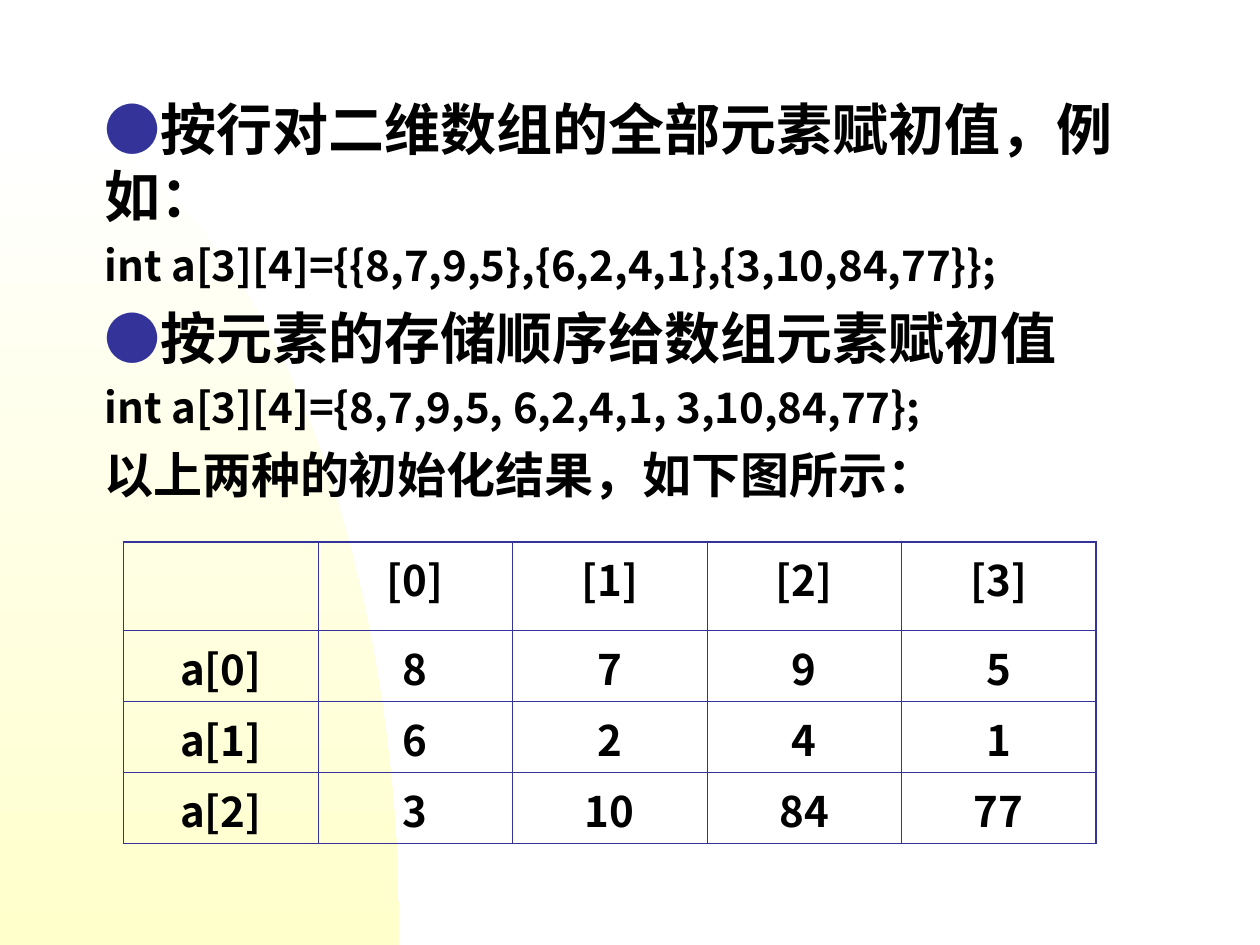
from math import cos, pi, sin

from pptx import Presentation
from pptx.dml.color import RGBColor
from pptx.enum.text import MSO_ANCHOR, PP_ALIGN
from pptx.oxml.ns import qn
from pptx.util import Inches, Pt
from lxml.etree import SubElement

COLORS = {"ink": "010000", "blue": "333399", "white": "FFFFFF", "cream": "FFFFCC"}
BULLET_FONT, FONT = "Arial", "Noto Sans CJK SC"
PLAIN_TABLE = "{2D5ABB26-0587-4C30-8999-92F81FD0307C}"

LINES = [
    (32, 0, True, "按行对二维数组的全部元素赋初值，例如："),
    (24, 6, False, "int a[3][4]={{8,7,9,5},{6,2,4,1},{3,10,84,77}};"),
    (32, 8, True, "按元素的存储顺序给数组元素赋初值"),
    (24, 6, False, "int a[3][4]={8,7,9,5, 6,2,4,1, 3,10,84,77};"),
    (28, 7, False, "以上两种的初始化结果，如下图所示："),
]
ARRAY = [
    ["", "[0]", "[1]", "[2]", "[3]"],
    ["a[0]", "8", "7", "9", "5"],
    ["a[1]", "6", "2", "4", "1"],
    ["a[2]", "3", "10", "84", "77"],
    [""] * 5,
]
ROW_HEIGHTS = [0.7, 0.57, 0.56, 0.56, 0.43]
TABLE_WIDTH = 7.72
THIN, THICK = 0.45, 1.08


def rgb(name):
    return RGBColor.from_string(COLORS[name])


def add_run(p, text, size, color="ink", font=FONT):
    r = p.add_run()
    r.text = text
    r.font.size = Pt(size)
    r.font.bold = True
    r.font.color.rgb = rgb(color)
    r.font.name = font
    SubElement(r.font._element, qn("a:ea"), typeface=FONT)


def add_backdrop(s):
    width, top, bottom, steps = 3.17, 0.92, 7.5, 48
    angles = [pi / 2 * i / steps for i in range(steps + 1)]
    arc = [(Inches(width * sin(a)), Inches(bottom - (bottom - top) * cos(a))) for a in angles]
    builder = s.shapes.build_freeform(*arc[0])
    builder.add_line_segments(arc[1:] + [(0, Inches(bottom))], close=True)
    sp = builder.convert_to_shape()
    sp.shadow.inherit = False
    sp.line.fill.background()
    sp.fill.gradient()
    sp.fill.gradient_angle = 270
    for stop, color in zip(sp.fill.gradient_stops, ("white", "cream")):
        stop.color.rgb = rgb(color)


def add_body(s):
    sp = s.shapes.add_textbox(Inches(0.23), Inches(0.7), Inches(9.45), Inches(3.21))
    tf = sp.text_frame
    tf.word_wrap = True
    tf.margin_right = Inches(0.5)
    for i, (size, before, bullet, text) in enumerate(LINES):
        p = tf.paragraphs[0] if i == 0 else tf.add_paragraph()
        p.space_before = Pt(before)
        pPr = p._p.get_or_add_pPr()
        pPr.set("marL", str(Inches(0.5)))
        pPr.set("indent", "0")
        if bullet:
            add_run(p, "●", size, "blue", BULLET_FONT)
        add_run(p, text, size)


def set_borders(cell, widths):
    tcPr = cell._tc.get_or_add_tcPr()
    for i, (side, width) in enumerate(widths.items()):
        ln = tcPr.makeelement(qn("a:ln" + side), {"w": str(Pt(width)), "cap": "flat", "cmpd": "sng"})
        fill = SubElement(ln, qn("a:solidFill"))
        SubElement(fill, qn("a:srgbClr"), val=COLORS["blue"])
        SubElement(ln, qn("a:prstDash"), val="solid")
        tcPr.insert(i, ln)


def add_array_table(s):
    rows, cols = len(ARRAY), len(ARRAY[0])
    table = s.shapes.add_table(rows, cols, Inches(0.98), Inches(4.3),
                               Inches(TABLE_WIDTH), Inches(sum(ROW_HEIGHTS))).table
    table.first_row = table.horz_banding = False
    table._tbl.tblPr.find(qn("a:tableStyleId")).text = PLAIN_TABLE
    for col in table.columns:
        col.width = Inches(TABLE_WIDTH / cols)
    for i, (row, height) in enumerate(zip(ARRAY, ROW_HEIGHTS)):
        table.rows[i].height = Inches(height)
        for j, text in enumerate(row):
            cell = table.cell(i, j)
            cell.fill.background()
            cell.vertical_anchor = MSO_ANCHOR.TOP
            cell.margin_bottom = Inches(0.02)
            if any(row):
                set_borders(cell, {
                    "L": THICK if j == 0 else THIN,
                    "R": THICK if j == cols - 1 else THIN,
                    "T": THICK if i == 0 else THIN,
                    "B": THIN,
                })
            else:
                set_borders(cell, {"T": THIN})
            if text:
                p = cell.text_frame.paragraphs[0]
                p.alignment = PP_ALIGN.CENTER
                add_run(p, text, 24)


def main():
    prs = Presentation()
    prs.slide_width, prs.slide_height = Inches(10), Inches(7.5)
    s = prs.slides.add_slide(prs.slide_layouts[6])
    s.background.fill.solid()
    s.background.fill.fore_color.rgb = rgb("white")
    add_backdrop(s)
    add_body(s)
    add_array_table(s)
    prs.save("out.pptx")


if __name__ == "__main__":
    main()
